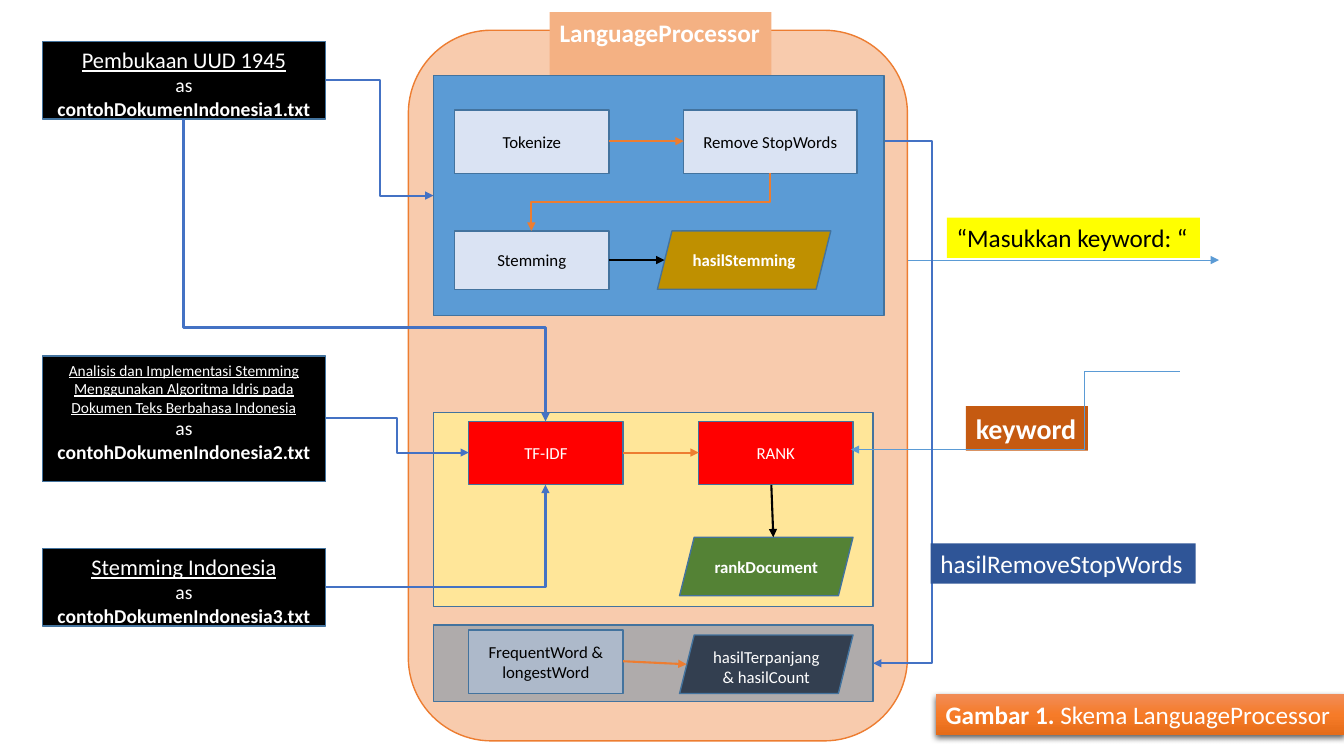
from copy import deepcopy
from typing import NamedTuple

from lxml.etree import SubElement
from pptx import Presentation
from pptx.dml.color import RGBColor
from pptx.enum.shapes import MSO_CONNECTOR as LINK, MSO_SHAPE as SHAPE
from pptx.enum.text import MSO_ANCHOR as ANCHOR, MSO_AUTO_SIZE as FIT, PP_ALIGN as ALIGN
from pptx.oxml.ns import qn
from pptx.util import Pt

SCALE = 9144
BLACK, WHITE, EDGE = "000000", "FFFFFF", "43739E"
ORANGE, BLUE, SKY, RED, PALE = "ED7D31", "4472C4", "5B9BD5", "FF0000", "DAE3F3"


class Box(NamedTuple):
    """A rectangle in px with the points where links attach."""
    x: int
    y: int
    w: int
    h: int

    def point(self, dx, dy):
        """Return the point at an offset from the top left corner."""
        return self.x + dx, self.y + dy

    def inside(self, dx, dy, w, h):
        """Return a box at an offset from the top left corner."""
        return Box(self.x + dx, self.y + dy, w, h)

    @property
    def left(self):
        """Return the middle of the left side."""
        return self.point(0, self.h // 2)

    @property
    def right(self):
        """Return the middle of the right side."""
        return self.point(self.w, self.h // 2)

    @property
    def top(self):
        """Return the middle of the top side."""
        return self.point(self.w // 2, 0)

    @property
    def bottom(self):
        """Return the middle of the bottom side."""
        return self.point(self.w // 2, self.h)


def px(*lengths):
    """Turn px lengths into EMU."""
    return [round(length * SCALE) for length in lengths]


def color(value):
    """Turn a hex string into a colour."""
    return RGBColor.from_string(value)


def add_span(para, text, size=12, ink=WHITE, bold=False, underline=False):
    """Add one formatted run to a paragraph."""
    span = para.add_run()
    span.text = text
    font = span.font
    font.name, font.size, font.bold, font.underline = "Calibri", Pt(size), bold, underline
    font.color.rgb = color(ink)


def add_block(page, box, fill, edge=EDGE, kind=SHAPE.RECTANGLE, text="", anchor=ANCHOR.MIDDLE, **style):
    """Draw a filled shape with optional centred text."""
    block = page.shapes.add_shape(kind, *px(*box))
    block.shadow.inherit = False
    block.fill.solid()
    block.fill.fore_color.rgb = color(fill)
    block.line.color.rgb = color(edge)
    block.line.width = Pt(1)
    block.text_frame.word_wrap = True
    block.text_frame.vertical_anchor = anchor
    para = block.text_frame.paragraphs[0]
    para.alignment = ALIGN.CENTER
    if text:
        add_span(para, text, **style)
    return block


def fill_label(label, box, fill, spans, **style):
    """Place a one-line label and give it a fill and text."""
    label.left, label.top, label.width, label.height = px(*box)
    label.fill.solid()
    label.fill.fore_color.rgb = color(fill)
    frame = label.text_frame
    frame.word_wrap, frame.auto_size = False, FIT.SHAPE_TO_FIT_TEXT
    frame.vertical_anchor = ANCHOR.TOP
    para = frame.paragraphs[0]
    para.alignment = ALIGN.LEFT
    for text, bold in spans:
        add_span(para, text, bold=bold, **style)


def add_label(page, box, fill, *spans, size=18, ink=WHITE):
    """Draw a one-line label of (text, bold) spans."""
    label = page.shapes.add_textbox(*px(*box))
    fill_label(label, box, fill, spans, size=size, ink=ink)
    return label


def add_link(page, start, end, ink, width=1.5, kind=LINK.STRAIGHT, bend=None, preset=None, turned=False):
    """Draw an arrow; a turned one leaves its start vertically."""
    dx, dy = end[0] - start[0], end[1] - start[1]
    side = 1 if dx > 0 else -1
    if turned:
        middle_x, middle_y = start[0] + dx / 2, start[1] + dy / 2
        start = middle_x + side * dy / 2, middle_y - abs(dx) / 2
        end = middle_x - side * dy / 2, middle_y + abs(dx) / 2
    link = page.shapes.add_connector(kind, *px(*start, *end))
    link.line.color.rgb = color(ink)
    link.line.width = Pt(width)
    shape = link.element.spPr
    SubElement(shape.find(qn("a:ln")), qn("a:tailEnd"), type="triangle")
    SubElement(shape, qn("a:effectLst"))
    geometry = shape.find(qn("a:prstGeom"))
    if preset:
        geometry.set("prst", preset)
    if bend is not None:
        guides = geometry.find(qn("a:avLst"))
        SubElement(guides, qn("a:gd"), name="adj1", fmla=f"val {round(bend * 100000)}")
    if turned:
        shape.find(qn("a:xfrm")).set("rot", str((180 - side * -90) * 60000))


def add_document(page, box, title, number, size=16):
    """Draw a source document with its title and file name."""
    frame = add_block(page, box, BLACK, text=title, size=size, underline=True, anchor=ANCHOR.TOP).text_frame
    for text, bold in (("as", False), (f"contohDokumenIndonesia{number}.txt", True)):
        para = frame.add_paragraph()
        para.alignment = ALIGN.CENTER
        add_span(para, text, size=14, bold=bold)


def add_processor(page, box):
    """Draw the outer frame with its heading."""
    frame = add_block(page, box, "F8CBAD", ORANGE, SHAPE.ROUNDED_RECTANGLE)
    title = page.shapes.title
    fill_label(title, box.inside(140, -18, 220, 40), "F4B183", [("LanguageProcessor", True)], size=18)
    frame.element.addnext(title.element)


def add_counting(page, box):
    """Draw the word counting region."""
    add_block(page, box, "AFABAB")
    words, result = box.inside(35, 5, 153, 63), box.inside(244, 10, 172, 58)
    add_block(page, words, "ADB9CA", text="FrequentWord & longestWord", ink=BLACK)
    add_block(page, result, "333F50", kind=SHAPE.PARALLELOGRAM, text="hasilTerpanjang & hasilCount",
              anchor=ANCHOR.TOP)
    add_link(page, words.right, result.point(7, 29), ORANGE)


def add_ranking(page, box):
    """Draw the ranking region and return its two steps."""
    add_block(page, box, "FFE699")
    weight, rank = [box.inside(dx, 9, 153, 63) for dx in (35, 263)]
    result = box.inside(244, 124, 172, 58)
    for step, text in ((weight, "TF-IDF"), (rank, "RANK")):
        add_block(page, step, RED, text=text)
    add_block(page, result, "548235", kind=SHAPE.PARALLELOGRAM, text="rankDocument", bold=True)
    add_link(page, weight.right, rank.left, ORANGE)
    add_link(page, rank.point(72, 63), result.point(93, 0), BLACK)
    return weight, rank


def add_stemming(page, box):
    """Draw the preprocessing region."""
    add_block(page, box, SKY)
    tokens, stops = box.inside(21, 34, 153, 63), box.inside(248, 34, 172, 63)
    stems, result = box.inside(21, 154, 153, 58), box.inside(222, 154, 172, 58)
    for step, text in ((tokens, "Tokenize"), (stops, "Remove StopWords"), (stems, "Stemming")):
        add_block(page, step, PALE, text=text, ink=BLACK)
    add_block(page, result, "BF9000", kind=SHAPE.PARALLELOGRAM, text="hasilStemming", bold=True)
    add_link(page, tokens.right, stops.left, ORANGE)
    add_link(page, stops.bottom, stems.top, ORANGE, kind=LINK.ELBOW, turned=True)
    add_link(page, stems.right, result.point(7, 29), BLACK)


def add_dialogue(page, box, rank):
    """Draw the prompt and the keyword that the user gives."""
    add_link(page, box.point(0, 42), box.point(308, 42), SKY, width=0.5)
    add_label(page, box.inside(38, 0, 251, 40), "FFFF00", ("“Masukkan keyword: “", False), ink=BLACK)
    add_label(page, box.inside(57, 187, 121, 44), "C55A11", ("keyword", True), size=20)
    add_link(page, box.point(269, 152), rank.point(151, 28), SKY, width=0.5, kind=LINK.ELBOW, bend=0.29)


def add_caption(page, box):
    """Draw the figure caption with its gradient and shadow."""
    caption = add_label(page, box, ORANGE, ("Gambar 1. ", True), ("Skema LanguageProcessor", False))
    caption.fill.gradient()
    caption.fill.gradient_angle = 270
    first = caption.fill.gradient_stops[0]
    stops = caption.element.spPr.find(qn("a:gradFill")).find(qn("a:gsLst"))
    stops.insert(1, deepcopy(stops[0]))
    first = caption.fill.gradient_stops
    for stop, place, value in zip(first, (0, 0.5, 1), ("F18C57", "F67B28", "E56C19")):
        stop.position, stop.color.rgb = place, color(value)
    caption.shadow.inherit = False
    effects = caption.element.spPr.find(qn("a:effectLst"))
    shadow = SubElement(effects, qn("a:outerShdw"), blurRad="57150", dist="19050", dir="5400000")
    SubElement(SubElement(shadow, qn("a:srgbClr"), val=BLACK), qn("a:alpha"), val="63000")


def main():
    """Build the slide and save it."""
    deck = Presentation()
    deck.slide_width, deck.slide_height = px(1333, 750)
    page = deck.slides.add_slide(deck.slide_layouts[5])
    opening, analysis, stemmer = Box(42, 41, 281, 77), Box(42, 353, 281, 125), Box(42, 544, 281, 77)
    stemming, counting = Box(430, 75, 447, 238), Box(430, 620, 436, 76)

    add_processor(page, Box(405, 30, 495, 705))
    add_counting(page, counting)
    weight, rank = add_ranking(page, Box(430, 409, 436, 193))
    add_document(page, opening, "Pembukaan UUD 1945", 1)
    add_document(page, analysis, "Analisis dan Implementasi Stemming Menggunakan Algoritma Idris pada "
                 "Dokumen Teks Berbahasa Indonesia", 2, size=11)
    add_document(page, stemmer, "Stemming Indonesia", 3)
    add_dialogue(page, Box(901, 216, 308, 231), rank)
    add_link(page, opening.bottom, weight.top, BLUE, kind=LINK.ELBOW, bend=0.69, turned=True)
    add_link(page, analysis.right, weight.left, BLUE, kind=LINK.ELBOW)
    add_link(page, stemmer.right, weight.bottom, BLUE, kind=LINK.ELBOW, preset="bentConnector2")
    add_link(page, stemming.point(421, 65), counting.right, BLUE, kind=LINK.ELBOW, bend=4.87)
    add_label(page, Box(923, 539, 263, 40), "2F5597", ("hasilRemoveStopWords", False))
    add_caption(page, Box(928, 689, 405, 40))
    add_stemming(page, stemming)
    add_link(page, opening.right, stemming.left, BLUE, kind=LINK.ELBOW)
    deck.save("out.pptx")


if __name__ == "__main__":
    main()
